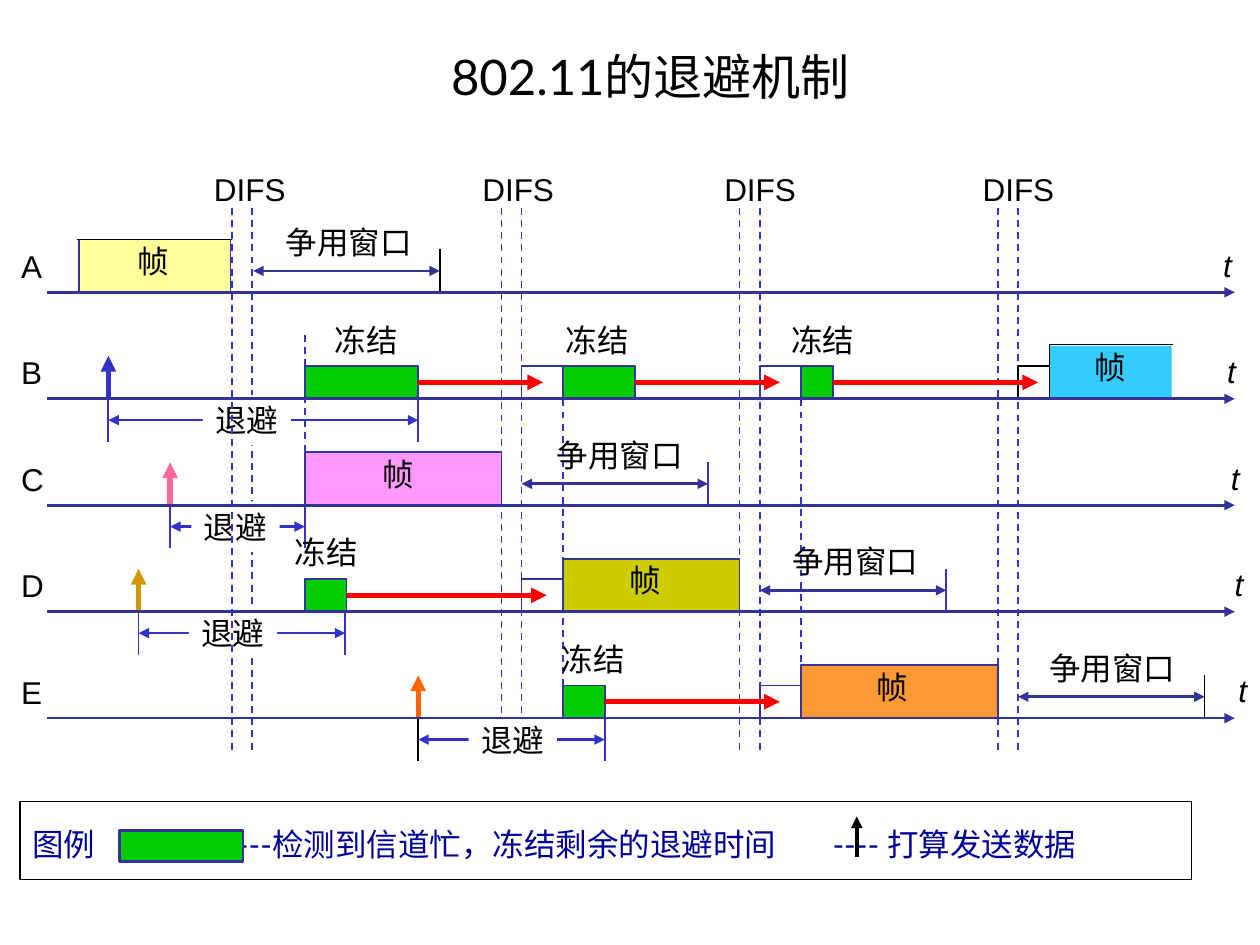
import pptx
import pptx.util
import pptx.dml.color
import pptx.enum.dml
import pptx.enum.shapes
import pptx.enum.text
import pptx.oxml.ns
from lxml import etree
from pptx.util import Inches

HUES = {
    "ink": "000000", "white": "FFFFFF", "navy": "333399", "blue": "3333CC",
    "red": "FF0000", "green": "00CC00", "text": "000099",
    "lemon": "FFFF99", "sky": "33CCFF", "pink": "FF99FF", "olive": "CCCC00",
    "peach": "FF9933", "rose": "FF6699", "gold": "CC9900", "orange": "FF6600",
}
BASE = 0.68
STEP = 0.845
TOP = 1.64

ROWS = [
    dict(name="A", frame=(0.63, 1.2, "lemon", "navy", 0.99),
         window=(2.01, 2.17, "ink"), rules=[[(0.61, -0.42), (1.84, -0.42)]]),
    dict(name="B", frame=(8.33, 0.97, "sky", None, 8.59),
         send=(0.86, 3.32, 1.61, "blue", "blue"),
         waits=[(4.14, 0.33, "navy"), (6.03, 0.33, "navy"), (8.08, 0.25, "ink")],
         holds=[(2.42, 0.9, 4.31, 2.56), (4.47, 0.57, 6.19, 4.39),
                (6.36, 0.25, 8.24, 6.18)],
         rules=[[(8.33, 0), (8.33, -0.43), (9.31, -0.43)]]),
    dict(name="C", frame=(2.42, 1.56, "pink", "navy", 2.94),
         window=(4.14, 4.32, "blue"), send=(1.35, 2.42, 1.52, "rose", "blue")),
    dict(name="D", frame=(4.47, 1.4, "olive", "navy", 4.9),
         window=(6.03, 6.19, "blue"), send=(1.1, 2.74, 1.5, "gold", "blue"),
         waits=[(4.14, 0.33, "navy")], holds=[(2.42, 0.33, 4.34, 2.24)]),
    dict(name="E", frame=(6.36, 1.56, "peach", "navy", 6.86),
         window=(8.08, 8.23, "ink"), send=(3.32, 4.8, 3.72, "orange", "ink"),
         waits=[(6.03, 0.33, "navy")], holds=[(4.47, 0.33, 6.19, 4.36)]),
]


def tint(hue):
    return pptx.dml.color.RGBColor.from_string(HUES[hue])


def paint(shape, fill, edge, width):
    shape.shadow.inherit = False
    if fill:
        shape.fill.solid()
        shape.fill.fore_color.rgb = tint(fill)
    else:
        shape.fill.background()
    if edge:
        shape.line.color.rgb = tint(edge)
        shape.line.width = pptx.util.Pt(width)
    else:
        shape.line.fill.background()


def block(slide, x, y, w, h, fill, edge=None, width=1):
    kind = pptx.enum.shapes.MSO_SHAPE.RECTANGLE
    shape = slide.shapes.add_shape(kind, Inches(x), Inches(y), Inches(w), Inches(h))
    paint(shape, fill, edge, width)
    return shape


def line(slide, x1, y1, x2, y2, hue, width=1, ends="", dash=False):
    kind = pptx.enum.shapes.MSO_CONNECTOR.STRAIGHT
    link = slide.shapes.add_connector(kind, Inches(x1), Inches(y1), Inches(x2), Inches(y2))
    link.line.color.rgb = tint(hue)
    link.line.width = pptx.util.Pt(width)
    if dash:
        link.line.dash_style = pptx.enum.dml.MSO_LINE.DASH
    qn = pptx.oxml.ns.qn
    props = link._element.spPr
    for end in ends.split():
        etree.SubElement(props.find(qn("a:ln")), qn("a:" + end), type="triangle")
    etree.SubElement(props, qn("a:effectLst"))
    return link


def style(part, hue="ink", size=18, face="Arial", slant=None):
    for run in part.runs:
        run.font.name = face
        run.font.size = pptx.util.Pt(size)
        run.font.color.rgb = tint(hue)
        run.font.italic = slant


def label(slide, x, y, w, text, fill=None, slant=None):
    box = slide.shapes.add_textbox(Inches(x), Inches(y), Inches(w), Inches(0.4))
    if fill:
        paint(box, fill, None, 0)
    frame = box.text_frame
    frame.word_wrap = False
    frame.auto_size = pptx.enum.text.MSO_AUTO_SIZE.SHAPE_TO_FIT_TEXT
    frame.text = text
    style(frame.paragraphs[0], slant=slant)


def mark(slide, x, y, text, fill=None):
    label(slide, x, y, 0.2 + 0.25 * len(text), text, fill)


def title(slide, x, y, w, h):
    box = slide.shapes.add_textbox(Inches(x), Inches(y), Inches(w), Inches(h))
    frame = box.text_frame
    frame.word_wrap = True
    frame.vertical_anchor = pptx.enum.text.MSO_ANCHOR.MIDDLE
    frame.text = "802.11的退避机制"
    part = frame.paragraphs[0]
    part.alignment = pptx.enum.text.PP_ALIGN.CENTER
    style(part, size=28, face="Lato")


def guides(slide, x, y, h):
    for start, text in [(1.84, 1.6), (3.98, 3.73), (5.87, 5.65), (7.92, 7.7)]:
        label(slide, x + text, y, 0.77, "DIFS")
        for pos in (start, start + 0.16):
            line(slide, x + pos, y + 0.35, x + pos, y + h, "blue", dash=True)
    for pos, top, end in [(2.42, 1.36, 2.29), (4.47, 1.87, 4.15), (6.36, 1.87, 3.98)]:
        line(slide, x + pos, y + top, x + pos, y + end, "blue", dash=True)


def retreat(slide, x, base, start, end, text, hue, edge):
    line(slide, x + start, base, x + start, base - 0.34, hue, 3, "tailEnd")
    line(slide, x + start, base + 0.17, x + end, base + 0.17, "blue", 1.5, "headEnd tailEnd")
    mark(slide, x + text, base - 0.03, "退避", "white")
    for pos, tone in [(start, edge), (end, "blue")]:
        line(slide, x + pos, base, x + pos, base + 0.34, tone)


def row(slide, x, y, name, frame, window=None, send=None, waits=(), holds=(), rules=()):
    base = y + BASE
    label(slide, x + 0.07, base - 0.41, 0.37, name)
    left, width, fill, edge, text = frame
    block(slide, x + left, base - 0.42, width, 0.42, fill, edge)
    mark(slide, x + text, base - 0.45, "帧")
    for points in rules:
        spots = [(Inches(x + px), Inches(base + py)) for px, py in points]
        build = slide.shapes.build_freeform(*spots[0])
        build.add_line_segments(spots[1:], close=False)
        paint(build.convert_to_shape(), None, "ink", 0.75)
    if window:
        left, text, edge = window
        end = x + left + 1.48
        line(slide, x + left, base - 0.17, end, base - 0.17, "navy", 1.5, "headEnd tailEnd")
        line(slide, end, base - 0.34, end, base, edge)
        mark(slide, x + text, base - 0.6, "争用窗口")
    for left, width, edge in waits:
        block(slide, x + left, base - 0.26, width, 0.26, "white", edge)
    if send:
        retreat(slide, x, base, *send)
    for left, width, end, text in holds:
        hold = block(slide, x + left, base - 0.26, width, 0.26, "green", "navy")
        start = x + left + width
        link = line(slide, start, base - 0.13, x + end, base - 0.13, "red", 3, "tailEnd")
        link.begin_connect(hold, 3)
        mark(slide, x + text, base - 0.67, "冻结")


def axes(slide, x, y, w):
    line(slide, x + 1.47, 1.65, x + 1.47, 5.95, "blue", dash=True)
    for i in range(len(ROWS)):
        base = y + i * STEP
        line(slide, x, base, x + w, base, "navy", 1.5, "tailEnd")
        label(slide, x + 9.24 + 0.03 * i, base - 0.42, 0.27, "t", slant=True)


def legend(slide, x, y, w, h):
    box = slide.shapes.add_textbox(Inches(x), Inches(y + 0.14), Inches(w), Inches(0.4))
    frame = box.text_frame
    frame.word_wrap = True
    frame.text = "图例\t----检测到信道忙，冻结剩余的退避时间\t---- 打算发送数据"
    part = frame.paragraphs[0]
    qn = pptx.oxml.ns.qn
    tabs = etree.SubElement(part._p.get_or_add_pPr(), qn("a:tabLst"))
    for pos in (1.53, 6.35):
        etree.SubElement(tabs, qn("a:tab"), pos=str(Inches(pos)), algn="l")
    style(part, "text", face="Lato")
    block(slide, x + 0.79, y + 0.23, 0.98, 0.25, "green", "navy", 1.5)
    block(slide, x, y, w, h, None, "ink", 0.75)
    line(slide, x + 6.64, y + 0.44, x + 6.64, y + 0.12, "ink", 2.25, "tailEnd")


def main():
    deck = pptx.Presentation()
    deck.slide_width = Inches(10)
    deck.slide_height = Inches(7.5)
    slide = deck.slides.add_slide(deck.slide_layouts[6])
    title(slide, 0.9, 0.21, 8.52, 0.79)
    guides(slide, 0, 1.3, 4.65)
    for i, data in enumerate(ROWS):
        row(slide, 0, TOP + i * STEP, **data)
    axes(slide, 0.37, TOP + BASE, 9.43)
    legend(slide, 0.16, 6.36, 9.3, 0.62)
    deck.save("out.pptx")


if __name__ == "__main__":
    main()
